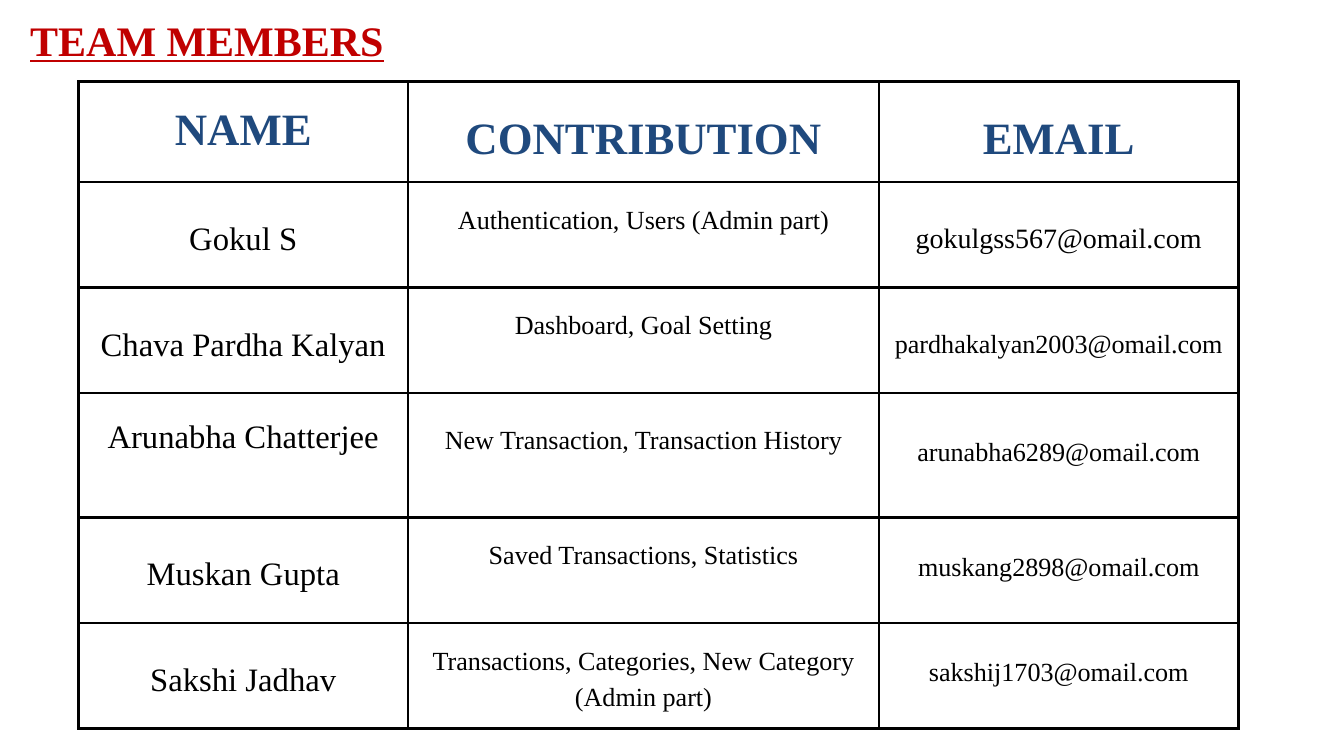
from lxml.etree import SubElement
from pptx import Presentation
from pptx.dml.color import RGBColor
from pptx.enum.text import MSO_ANCHOR, MSO_AUTO_SIZE, PP_ALIGN
from pptx.oxml.ns import qn
from pptx.util import Inches, Pt

FONT = "Times New Roman"
COLORS = {"title": "C00000", "header": "1F497D", "text": "000000"}
MARGIN = 0.21
COLUMN_WIDTHS = [4.9, 7.01, 5.35]
ROW_HEIGHTS = [1.5, 1.57, 1.57, 1.85, 1.57, 1.57]

HEADERS = ["NAME", "CONTRIBUTION", "EMAIL"]
HEADER_SPACING = [25.2, 70, 70]
MEMBERS = [
    ["Gokul S", "Authentication, Users (Admin part)", "gokulgss567@omail.com"],
    ["Chava Pardha Kalyan", "Dashboard, Goal Setting", "pardhakalyan2003@omail.com"],
    ["Arunabha Chatterjee", "New Transaction, Transaction History", "arunabha6289@omail.com"],
    ["Muskan Gupta", "Saved Transactions, Statistics", "muskang2898@omail.com"],
    ["Sakshi Jadhav", "Transactions, Categories, New Category (Admin part)",
     "sakshij1703@omail.com"],
]
# Size and line spacing of each e-mail address
EMAIL_FORMATS = [(30, 42), (28, 39.2), (28, 25.2), (28, 25.2), (28, 25.2)]


def write_text(frame, text, *, size, spacing, color="text", bold=False, underline=False):
    frame.word_wrap = True
    para = frame.paragraphs[0]
    para.alignment = PP_ALIGN.CENTER
    para.line_spacing = Pt(spacing)
    para.space_before = Pt(0)
    span = para.add_run()
    span.text = text
    font = span.font
    font.name, font.size = FONT, Pt(size)
    font.bold, font.underline = bold, underline
    font.color.rgb = RGBColor.from_string(COLORS[color])


def format_cell(cell, top=0.0, bottom=0.0):
    """Draw the borders and set the margins, with extra room above or below."""
    properties = cell._tc.get_or_add_tcPr()
    for side in ("lnL", "lnR", "lnT", "lnB"):
        line = SubElement(properties, qn(f"a:{side}"), w=str(Pt(3)))
        fill = SubElement(line, qn("a:solidFill"))
        SubElement(fill, qn("a:srgbClr"), val=COLORS["text"])
    cell.fill.background()
    cell.vertical_anchor = MSO_ANCHOR.MIDDLE
    cell.margin_left = cell.margin_right = Inches(MARGIN)
    cell.margin_top = Inches(MARGIN + top)
    cell.margin_bottom = Inches(MARGIN + bottom)


def place_title(page, left, top, width, height):
    title = page.shapes.title
    title.left, title.top = Inches(left), Inches(top)
    title.width, title.height = Inches(width), Inches(height)
    frame = title.text_frame
    frame.auto_size = MSO_AUTO_SIZE.NONE
    frame.vertical_anchor = MSO_ANCHOR.TOP
    frame.margin_left = frame.margin_right = frame.margin_top = frame.margin_bottom = 0
    write_text(frame, "TEAM MEMBERS", size=45, spacing=63, color="title",
               bold=True, underline=True)


def place_members(page, left, top, width, height):
    table = page.shapes.add_table(len(MEMBERS) + 1, len(HEADERS), Inches(left), Inches(top),
                                  Inches(width), Inches(height)).table
    table.first_row = table.horz_banding = False
    for column, column_width in zip(table.columns, COLUMN_WIDTHS):
        column.width = Inches(column_width)
    for row, row_height in zip(table.rows, ROW_HEIGHTS):
        row.height = Inches(row_height)

    # Header row
    for index, (header, spacing) in enumerate(zip(HEADERS, HEADER_SPACING)):
        cell = table.cell(0, index)
        format_cell(cell, top=0.35 if header == "NAME" else 0)
        write_text(cell.text_frame, header, size=48, spacing=spacing, color="header", bold=True)

    # Member rows: some names and contributions sit above the middle
    for number, (member, email_format) in enumerate(zip(MEMBERS, EMAIL_FORMATS), start=1):
        formats = [(35, 49), (28, 39.2), email_format]
        raised = [0.68 if number == 3 else 0, 0.54 if number < len(MEMBERS) else 0, 0]
        for index, (text, (size, spacing)) in enumerate(zip(member, formats)):
            cell = table.cell(number, index)
            format_cell(cell, bottom=raised[index])
            write_text(cell.text_frame, text, size=size, spacing=spacing)


def main():
    deck = Presentation()
    deck.slide_width, deck.slide_height = Inches(20), Inches(11.25)
    page = deck.slides.add_slide(deck.slide_layouts[5])
    place_members(page, 1.17, 1.21, sum(COLUMN_WIDTHS), sum(ROW_HEIGHTS))
    place_title(page, -0.5, 0.09, 7.16, 0.81)
    deck.save("out.pptx")


if __name__ == "__main__":
    main()
